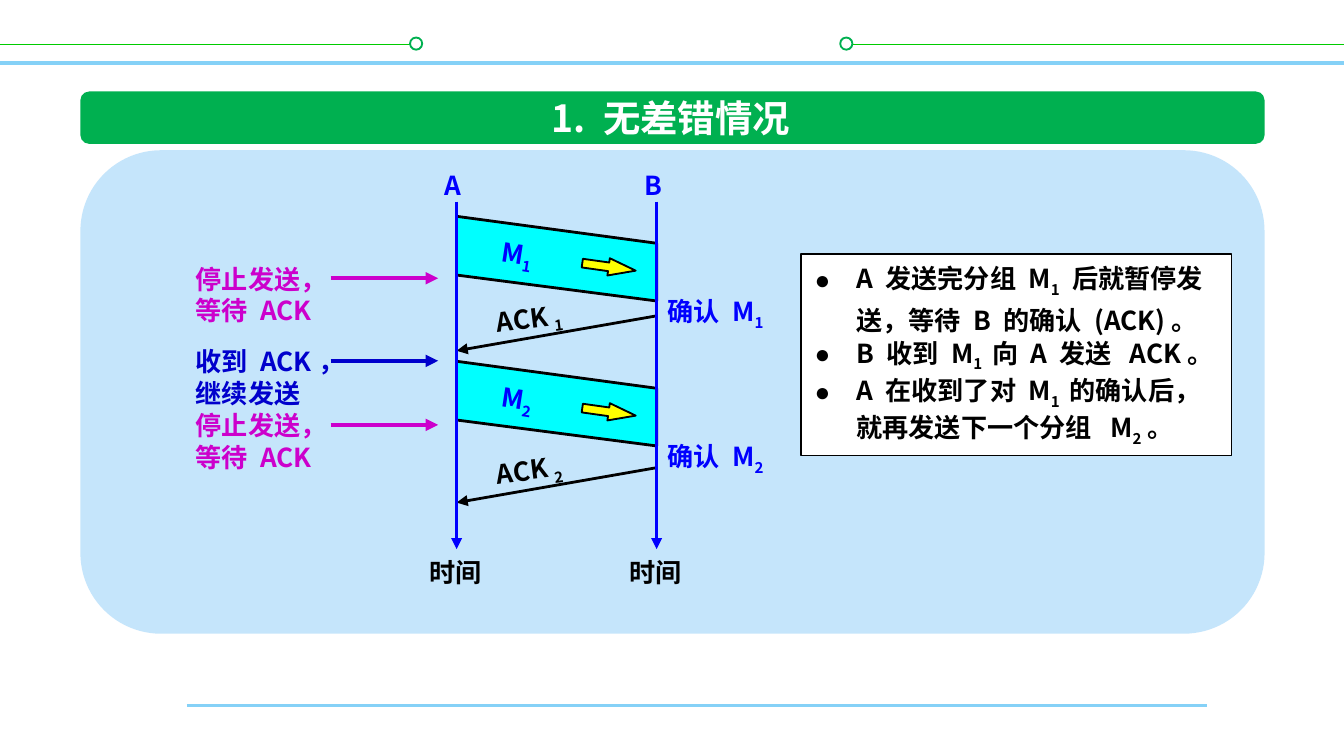
from lxml.etree import SubElement
from pptx import Presentation
from pptx.dml.color import RGBColor as RGB
from pptx.enum.shapes import MSO_CONNECTOR as CONN, MSO_SHAPE as SHAPE
from pptx.enum.text import MSO_ANCHOR as ANCHOR, MSO_AUTO_SIZE as AUTO, PP_ALIGN as ALIGN
from pptx.oxml.ns import qn
from pptx.util import Cm, Pt


class Theme:
    font = "Noto Sans CJK SC"
    title, body = 20, 14
    title_line, list_line, label_line = 25, 20, 17
    white, black = "FFFFFF", "000000"
    green, lime, sky, panel = "00B050", "00CC00", "85D1F7", "C5E5FB"
    blue, navy, magenta = "0000FF", "0000CC", "CC00CC"
    cyan, yellow = "00FFFF", "FFFF00"


def line(x1, y1, x2, y2, color, width, arrow=False):
    c = s.shapes.add_connector(CONN.STRAIGHT, Cm(x1), Cm(y1), Cm(x2), Cm(y2))
    c.line.color.rgb = RGB.from_string(color)
    c.line.width = Pt(width)
    if arrow:
        SubElement(c.line._get_or_add_ln(), qn("a:tailEnd"), type="triangle")
    SubElement(c.element.spPr, qn("a:effectLst"))


def write(p, text, size, color, spacing):
    """Fill a paragraph; every second part between bars is a subscript."""
    p.line_spacing, p.space_before = Pt(spacing), Pt(0)
    for i, part in enumerate(text.split("|")):
        if not part:
            continue
        r = p.add_run()
        r.text = part
        r.font.name, r.font.size, r.font.bold = Theme.font, Pt(size), True
        r.font.color.rgb = RGB.from_string(color)
        rPr = r.font._element
        SubElement(rPr, qn("a:ea"), typeface=Theme.font)
        if i % 2:
            rPr.set("baseline", "-25000")


prs = Presentation()
prs.slide_width, prs.slide_height = Cm(25.4), Cm(14.29)
s = prs.slides.add_slide(prs.slide_layouts[1])
title, body = s.placeholders
tree = s.shapes.element

# Page rules and their end rings
line(3.53, 13.34, 22.81, 13.34, Theme.sky, 1.5)
line(0, 1.19, 25.4, 1.19, Theme.sky, 2)
for x1, x2, ring in [(0, 7.87, 7.75), (15.88, 25.4, 15.88)]:
    line(x1, 0.84, x2, 0.84, Theme.lime, 1)
    sp = s.shapes.add_shape(SHAPE.OVAL, Cm(ring), Cm(0.71), Cm(0.23), Cm(0.23))
    sp.shadow.inherit = False
    sp.fill.solid()
    sp.fill.fore_color.rgb = RGB.from_string(Theme.white)
    sp.line.color.rgb = RGB.from_string(Theme.green)
    sp.line.width = Pt(1)

# Title bar and diagram panel
for top, height, color in [(1.73, 0.99, Theme.green), (2.84, 9.14, Theme.panel)]:
    sp = s.shapes.add_shape(SHAPE.ROUNDED_RECTANGLE, Cm(1.52), Cm(top), Cm(22.38), Cm(height))
    sp.adjustments[0] = 0.167
    sp.shadow.inherit = False
    sp.fill.solid()
    sp.fill.fore_color.rgb = RGB.from_string(color)
    sp.line.fill.background()

# Title
title.left, title.top, title.width, title.height = Cm(9.68), Cm(1.65), Cm(6), Cm(1.12)
tf = title.text_frame
tf.word_wrap, tf.auto_size, tf.vertical_anchor = False, AUTO.NONE, ANCHOR.MIDDLE
tf.paragraphs[0].alignment = ALIGN.CENTER
write(tf.paragraphs[0], "1. 无差错情况", Theme.title, Theme.white, Theme.title_line)
tree.append(title.element)

# Explanation list
body.left, body.top, body.width, body.height = Cm(15.14), Cm(4.8), Cm(8.13), Cm(3.81)
body.fill.solid()
body.fill.fore_color.rgb = RGB.from_string(Theme.white)
body.line.color.rgb = RGB.from_string(Theme.black)
body.line.width = Pt(0.75)
tf = body.text_frame
tf.word_wrap, tf.auto_size, tf.vertical_anchor = True, AUTO.NONE, ANCHOR.TOP
points = ["A 发送完分组 M|1| 后就暂停发送，等待 B 的确认 (ACK)。",
          "B 收到 M|1 |向 A 发送  ACK。",
          "A 在收到了对 M|1 |的确认后，就再发送下一个分组  M|2|。"]
for i, text in enumerate(points):
    p = tf.add_paragraph() if i else tf.paragraphs[0]
    pPr = p._p.get_or_add_pPr()
    pPr.set("marL", str(Cm(0.79)))
    pPr.set("indent", str(-Cm(0.79)))
    SubElement(pPr, qn("a:buChar"), char="●")
    write(p, text, Theme.body, Theme.black, Theme.list_line)
tree.append(body.element)

# Frames M1 and M2 with their acknowledgements
xa, xb = 8.63, 12.41
labels = []  # text, left, top, width, height, colour, rotation, wrap
for n, y, y_ack in [(1, 4.09, 5.97), (2, 6.83, 8.84)]:
    fb = s.shapes.build_freeform(Cm(xa), Cm(y))
    fb.add_line_segments([(Cm(xb), Cm(y + 0.51)), (Cm(xb), Cm(y + 1.6)), (Cm(xa), Cm(y + 1.11))])
    frame = fb.convert_to_shape()
    arrow = s.shapes.add_shape(SHAPE.RIGHT_ARROW, Cm(11), Cm(y + 0.79), Cm(1.02), Cm(0.33))
    arrow.adjustments[1] = 1.565
    arrow.rotation = 8
    for sp, color, width in [(frame, Theme.cyan, 1.5), (arrow, Theme.yellow, 1)]:
        sp.shadow.inherit = False
        sp.fill.solid()
        sp.fill.fore_color.rgb = RGB.from_string(color)
        sp.line.color.rgb = RGB.from_string(Theme.black)
        sp.line.width = Pt(width)
    line(xb, y_ack, xa, y_ack + 0.66, Theme.black, 1.5, True)
    labels += [(f"M|{n}", 9.22, y + 0.36, 1.22, 0.84, Theme.blue, 9, False),
               (f"ACK |{n}", 9.14, y_ack - 0.32, 1.88, 0.86, Theme.black, 352.8, False),
               (f"确认 M|{n}", 12.37, y + 1.45, 2.36, 0.86, Theme.blue, 0, False)]

# Time axes
for name, x in [("A", xa), ("B", xb)]:
    line(x, 3.81, x, 10.38, Theme.blue, 1.5, True)
    labels += [(name, x - 0.47, 3.07, 0.88, 0.84, Theme.blue, 0, False),
               ("时间", x - 0.76, 10.39, 1.5, 0.86, Theme.black, 0, False)]

# Sender notes with arrows to the axis of A
for text, y, width, color in [("停止发送，等待 ACK", 4.84, 3.25, Theme.magenta),
                              ("收到 ACK，继续发送", 6.4, 3.66, Theme.navy),
                              ("停止发送，等待 ACK", 7.61, 3.25, Theme.magenta)]:
    line(6.25, y + 0.42, 8.28, y + 0.42, color, 2.25, True)
    labels.append((text, 3.45, y, width, 1.5, color, 0, True))

# Labels
for text, left, top, width, height, color, rotation, wrap in labels:
    sp = s.shapes.add_textbox(Cm(left), Cm(top), Cm(width), Cm(height))
    sp.rotation = rotation
    tf = sp.text_frame
    tf.word_wrap, tf.auto_size = wrap, AUTO.SHAPE_TO_FIT_TEXT
    write(tf.paragraphs[0], text, Theme.body, color, Theme.label_line)

prs.save("out.pptx")
